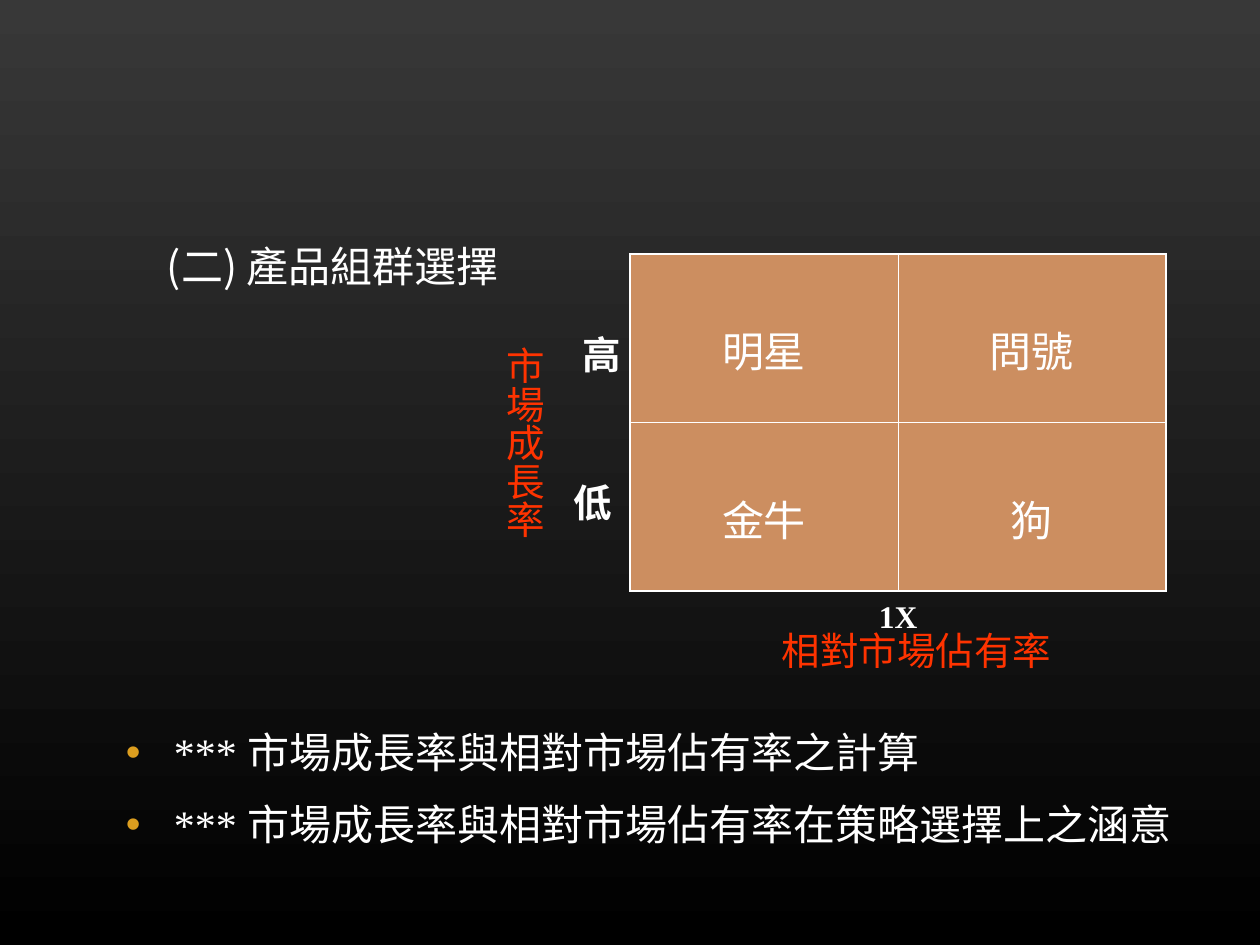
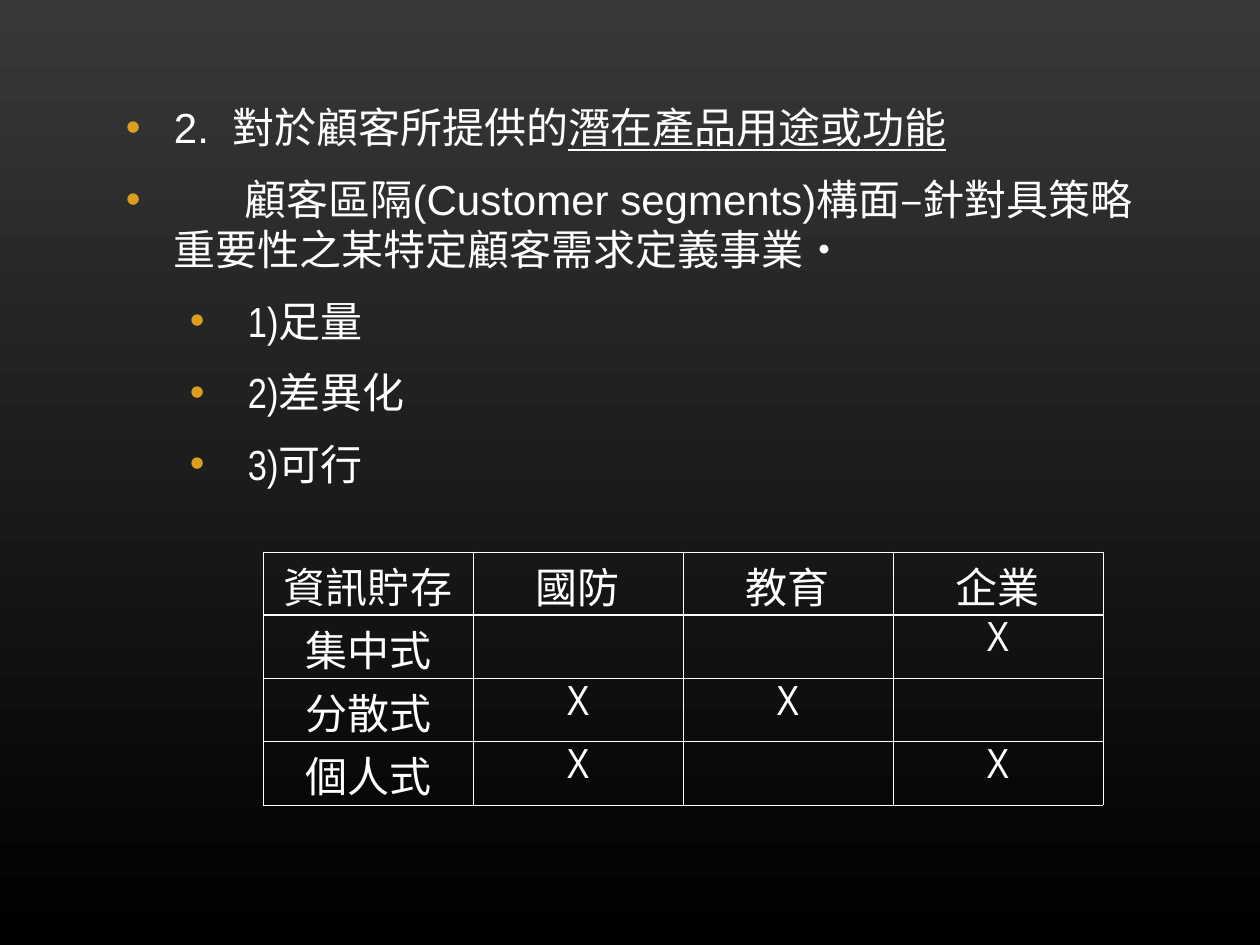
from dataclasses import dataclass

from lxml.etree import SubElement
from pptx import Presentation
from pptx.dml.color import RGBColor
from pptx.enum.text import MSO_ANCHOR, PP_ALIGN
from pptx.oxml.ns import qn
from pptx.util import Pt

PX = 7257  # EMU per pixel, 126 pixels to the inch


@dataclass(frozen=True)
class Theme:
    """Colours, fonts and sizes shared by the slides."""
    bg_top: str = "383838"
    bg_bottom: str = "000000"
    text: str = "FFFFFF"
    axis: str = "FF3300"
    bullet: str = "DC9E1F"
    cell: str = "CC8E60"
    body_size: int = 24
    label_size: int = 22
    small_size: int = 18
    thin: float = 0.45
    frame: float = 1.08
    rule: float = 1.47
    sans: str = "Arial"
    narrow: str = "Arial Narrow"
    serif: str = "Times New Roman"
    cjk: str = "Noto Sans CJK SC"
    plain: str = "DejaVu Sans"


T = Theme()


def px(*values):
    """Turn pixels into EMU."""
    return [round(v * PX) for v in values]


def add_run(p, text, font, size=T.body_size, color=T.text, spacing=None, **fmt):
    """Add one formatted run to a paragraph."""
    r = p.add_run()
    r.text = text
    for name, value in {"name": font, "size": Pt(size), **fmt}.items():
        setattr(r.font, name, value)
    r.font.color.rgb = RGBColor.from_string(color)
    rPr = r.font._element
    east_asian = T.plain if font == T.plain else T.cjk
    SubElement(rPr, qn("a:ea")).set("typeface", east_asian)
    if spacing:
        rPr.set("spc", str(spacing * 100))


def add_text_frame(s, box, margins=(13, 6)):
    """Add a wrapping text box and return its text frame."""
    tf = s.shapes.add_textbox(*px(*box)).text_frame
    mx, my = px(*margins)
    fmt = {"word_wrap": True, "margin_left": mx, "margin_right": mx,
           "margin_top": my, "margin_bottom": my}
    for name, value in fmt.items():
        setattr(tf, name, value)
    return tf


def add_label(s, box, text, font=T.plain, size=T.label_size, color=T.text,
              vertical=False, **fmt):
    """Add a one-line label, set upright in a column if vertical."""
    tf = add_text_frame(s, box, (6, 13) if vertical else (13, 6))
    if vertical:
        tf._txBody.bodyPr.set("vert", "eaVert")
    add_run(tf.paragraphs[0], text, font, size, color, **fmt)


def add_bullets(s, box, items):
    """Add bulleted paragraphs; each item is (left, hanging, runs)."""
    tf = add_text_frame(s, box)
    for i, (left, hanging, runs) in enumerate(items):
        p = tf.add_paragraph() if i else tf.paragraphs[0]
        p.space_before = p.space_after = Pt(6)
        pPr = p._p.get_or_add_pPr()
        pPr.set("marL", str(left * PX))
        pPr.set("indent", str(-hanging * PX))
        clr = SubElement(pPr, qn("a:buClr"))
        SubElement(clr, qn("a:srgbClr")).set("val", T.bullet)
        SubElement(pPr, qn("a:buFont")).set("typeface", T.sans)
        SubElement(pPr, qn("a:buChar")).set("char", "•")
        for text, font, fmt in runs:
            add_run(p, text, font, **fmt)


def set_borders(cell, widths):
    """Draw the left, right, top and bottom borders of a cell."""
    tcPr = cell._tc.get_or_add_tcPr()
    for side, width in zip("LRTB", widths):
        ln = SubElement(tcPr, qn(f"a:ln{side}"), w=str(int(Pt(width))))
        fill = SubElement(ln, qn("a:solidFill"))
        SubElement(fill, qn("a:srgbClr")).set("val", T.text)


def add_grid(s, box, rows, font, outer, header_rule):
    """Add a table of equal cells with centred text and ruled borders."""
    n_rows, n_cols = len(rows), len(rows[0])
    table = s.shapes.add_table(n_rows, n_cols, *px(*box)).table
    table.first_row = table.horz_banding = False
    for lines, length, attr in ((table.columns, box[2], "width"),
                                (table.rows, box[3], "height")):
        for line in lines:
            setattr(line, attr, round(length * PX / len(lines)))
    across = [outer] + [T.thin] * (n_cols - 1) + [outer]
    down = [outer, header_rule] + [T.thin] * (n_rows - 2) + [outer]
    for i, row in enumerate(rows):
        for j, text in enumerate(row):
            cell = table.cell(i, j)
            set_borders(cell, across[j:j + 2] + down[i:i + 2])
            cell.margin_left, cell.margin_right = px(13, 13)
            cell.margin_top, cell.margin_bottom = px(6, 6)
            cell.fill.background()
            p = cell.text_frame.paragraphs[0]
            p.alignment = PP_ALIGN.CENTER
            if text:
                add_run(p, text, font)
    return table


def add_slide(prs):
    """Add a blank slide with the shared gradient background."""
    s = prs.slides.add_slide(prs.slide_layouts[6])
    fill = s.background.fill
    fill.gradient()
    fill.gradient_angle = 270
    for stop, color, pos in zip(fill.gradient_stops,
                                (T.bg_top, T.bg_bottom), (0, 1)):
        stop.color.rgb = RGBColor.from_string(color)
        stop.position = pos
    return s


def add_matrix(s, x, y, w, h):
    """Draw the growth and share matrix with its axis labels."""
    table = add_grid(s, (x, y, w, h), [["明星", "問號"], ["金牛", "狗"]],
                     T.plain, T.frame, T.thin)
    for cell in table.iter_cells():
        cell.fill.solid()
        cell.fill.fore_color.rgb = RGBColor.from_string(T.cell)
        cell.margin_top = 75 * PX
    add_label(s, (x - 148, y + 80, 71, 220), "市場成長率", color=T.axis,
              vertical=True)
    add_label(s, (x + 139, y + h + 30, 307, 59), "相對市場佔有率", color=T.axis)
    add_label(s, (x - 72, y + 69, 71, 59), "高", vertical=True, bold=True)
    add_label(s, (x - 70, y + 219, 59, 59), "低", bold=True)
    add_label(s, (x + 228, y + h, 79, 50), " 1X", T.serif, T.small_size,
              bold=True)


def add_storage_table(s, box):
    """Draw the table of storage types by customer segment."""
    table = add_grid(s, box, [["資訊貯存", "國防", "教育", "企業"],
                              ["集中式", "", "", "X"],
                              ["分散式", "X", "X", ""],
                              ["個人式", "X", "", "X"]],
                     T.narrow, T.thin, T.rule)
    for cell in table.iter_cells():
        if cell.text not in ("", "X"):
            cell.vertical_anchor = MSO_ANCHOR.BOTTOM
            cell.margin_top = cell.margin_bottom = 0


def portfolio_slide(prs):
    """Slide on choosing the product portfolio."""
    s = add_slide(prs)
    add_matrix(s, 630, 254, 536, 337)
    notes = ("*** 市場成長率與相對市場佔有率之計算",
             "*** 市場成長率與相對市場佔有率在策略選擇上之涵意")
    add_bullets(s, (113, 721, 1147, 161),
                [(48, 48, [(note, T.serif, {})]) for note in notes])
    add_label(s, (154, 235, 437, 63), "(二) 產品組群選擇", T.cjk, T.body_size)


def segments_slide(prs):
    """Slide on customer segments, with a table of uses."""
    s = add_slide(prs)
    heading = [("2.\u00a0\u00a0", T.sans, {}),
               ("對於顧客所提供的", T.cjk, {}),
               ("潛在產品用途或功能", T.cjk, {"underline": True})]
    definition = [(" ", T.sans, {"spacing": 35}),
                  ("顧客區隔", T.cjk, {}),
                  ("(Customer segments)", T.sans, {}),
                  ("構面", T.cjk, {}),
                  ("–", T.sans, {}),
                  ("針對具策略重要性之某特定顧客需求定義事業", T.cjk, {}),
                  ("‧", T.sans, {})]
    criteria = [(122, 58, [(f"{n}){text}", T.narrow, {})])
                for n, text in enumerate(("足量", "差異化", "可行"), 1)]
    add_bullets(s, (113, 96, 1071, 407),
                [(48, 48, heading), (48, 48, definition), *criteria])
    add_storage_table(s, (263, 552, 840, 253))


def main():
    """Build the presentation."""
    prs = Presentation()
    prs.slide_width, prs.slide_height = px(1260, 945)
    portfolio_slide(prs)
    segments_slide(prs)
    prs.save("out.pptx")


main()
